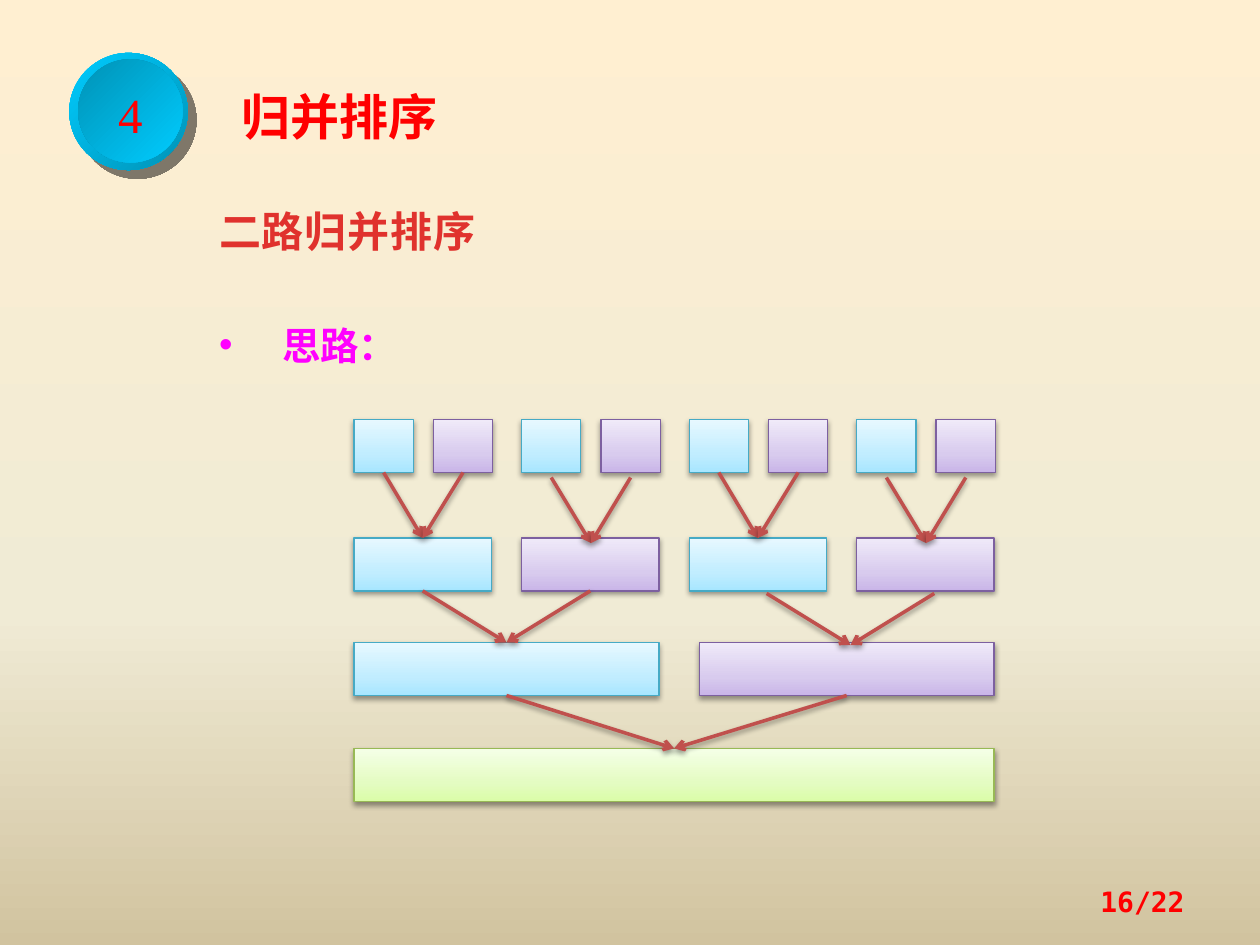
from lxml import etree
from pptx import Presentation
from pptx.dml.color import RGBColor
from pptx.enum.shapes import MSO_CONNECTOR, MSO_SHAPE
from pptx.enum.text import MSO_ANCHOR as Anchor, MSO_AUTO_SIZE as AutoSize, PP_ALIGN as Align
from pptx.oxml.ns import qn
from pptx.util import Inches, Pt

COLORS = {"red": "FF0000", "heading": "E0322D", "magenta": "FF00FF", "arrow": "C0504D"}
GRADIENTS = {
    "background": [(0, "FFEFD1"), (65, "F0EBD5"), (100, "D1C39F")],
    "rim": [(0, "00CCFF"), (100, "0092B6")],
    "face": [(0, "0092B6"), (100, "00CCFF")],
    "blue": [(0, "A7E6FF"), (35, "C1EDFF"), (100, "E7F8FF")],
    "purple": [(0, "C9B5E8"), (35, "D8CBEE"), (100, "F0EAF9")],
    "green": [(0, "DAFDA7"), (35, "E4FCC2"), (100, "F5FFE7")],
}
BORDERS = {"blue": "46AAC5", "purple": "7D60A0", "green": "98B955"}
BADGE_SHADOW = ("020202", 50, 0, 7.1, 45)
SOFT_SHADOW = ("000000", 38, 3.1, 1.6, 90)
CJK, SERIF, MONO = "Noto Sans CJK SC", "Times New Roman", "DejaVu Sans Mono"

LEFT, PITCH, HALF_PITCH, BLOCK_HEIGHT = 2.81, 1.33, 0.63, 0.42
LEVELS = [
    (3.33, [(LEFT + PITCH * pair + HALF_PITCH * half, 0.47) for pair in range(4) for half in range(2)]),
    (4.27, [(LEFT + PITCH * pair, 1.09) for pair in range(4)]),
    (5.10, [(LEFT, 2.42), (5.55, 2.34)]),
    (5.94, [(LEFT, 5.08)]),
]
ARROW_SHIFTS = {(1, 1): (0, 0.04), (1, 3): (0, 0.04), (2, 1): (0.07, 0.02)}


def set_gradient(fill, element, name, angle):
    fill.gradient()
    fill.gradient_angle = angle
    stops = element.find(".//" + qn("a:gsLst"))
    for old in list(stops):
        stops.remove(old)
    for position, color in GRADIENTS[name]:
        stop = etree.SubElement(stops, qn("a:gs"), pos=str(position * 1000))
        etree.SubElement(stop, qn("a:srgbClr"), val=color)


def add_shadow(shape, color, opacity, blur, distance, angle):
    properties = shape.element.spPr
    for old in properties.findall(qn("a:effectLst")):
        properties.remove(old)
    effects = etree.SubElement(properties, qn("a:effectLst"))
    outer = etree.SubElement(
        effects, qn("a:outerShdw"), blurRad=str(Pt(blur)), dist=str(Pt(distance)),
        dir=str(angle * 60000), algn="ctr", rotWithShape="0")
    tint = etree.SubElement(outer, qn("a:srgbClr"), val=color)
    etree.SubElement(tint, qn("a:alpha"), val=str(opacity * 1000))


def add_shape(kind, area, gradient, angle, border=None):
    shape = slide.shapes.add_shape(kind, *map(Inches, area))
    shape.shadow.inherit = False
    set_gradient(shape.fill, shape.element.spPr, gradient, angle)
    if border:
        shape.line.color.rgb = RGBColor.from_string(border)
        shape.line.width = Pt(0.75)
    else:
        shape.line.fill.background()
    return shape


def write(box, text, size, font, color, bold=False, align=Align.LEFT, spacing=1.0,
          margin=0, indent=0, bullet=None, tracking=None):
    para = box.text_frame.paragraphs[0]
    para.text = text
    para.alignment = align
    para.line_spacing = spacing
    settings = para._p.get_or_add_pPr()
    settings.set("marL", str(Inches(margin)))
    settings.set("indent", str(Inches(indent)))
    if bullet:
        etree.SubElement(settings, qn("a:buFont"), typeface="Arial")
        etree.SubElement(settings, qn("a:buChar"), char=bullet)
    span = para.runs[0]
    span.font.size = Pt(size)
    span.font.name = font
    span.font.bold = bold
    span.font.color.rgb = RGBColor.from_string(COLORS[color])
    run_settings = span.font._element
    etree.SubElement(run_settings, qn("a:ea"), typeface=font)
    if tracking:
        run_settings.set("spc", str(int(tracking * 100)))


def add_text(area, text, size, font, color, grow=True, anchor=Anchor.TOP, **style):
    box = slide.shapes.add_textbox(*map(Inches, area))
    frame = box.text_frame
    frame.word_wrap = True
    frame.auto_size = AutoSize.SHAPE_TO_FIT_TEXT if grow else AutoSize.NONE
    frame.vertical_anchor = anchor
    write(box, text, size, font, color, **style)


def add_arrow(start, tip, source=None, target=None):
    arrow = slide.shapes.add_connector(MSO_CONNECTOR.STRAIGHT, *map(Inches, start + tip))
    if source is not None:
        arrow.begin_connect(source, 2)
        arrow.end_connect(target, 0)
    arrow.line.color.rgb = RGBColor.from_string(COLORS["arrow"])
    arrow.line.width = Pt(2)
    etree.SubElement(arrow.line._get_or_add_ln(), qn("a:tailEnd"), type="arrow")
    add_shadow(arrow, *SOFT_SHADOW)


def add_merge_tree():
    previous, previous_top = [], 0
    for level, (top, spans) in enumerate(LEVELS):
        current = []
        for index, (left, width) in enumerate(spans):
            color = "green" if len(spans) == 1 else ("blue", "purple")[index % 2]
            block = add_shape(MSO_SHAPE.RECTANGLE, (left, top, width, BLOCK_HEIGHT),
                              color, 90, BORDERS[color])
            add_shadow(block, *SOFT_SHADOW)
            current.append((block, left + width / 2))
            pair = previous[2 * index:2 * index + 2]
            shift = ARROW_SHIFTS.get((level, index))
            across, down = shift or (0, 0)
            tip = (sum(center for _, center in pair) / 2 + across, top + down)
            for source, center in pair:
                start = (center + across, previous_top + BLOCK_HEIGHT + down)
                ends = () if shift else (source, block)
                add_arrow(start, tip, *ends)
        previous, previous_top = current, top


deck = Presentation()
deck.slide_width, deck.slide_height = Inches(10), Inches(7.5)
slide = deck.slides.add_slide(deck.slide_layouts[6])
set_gradient(slide.background.fill, slide.element, "background", 270)

rim = add_shape(MSO_SHAPE.OVAL, (0.55, 0.42, 0.94, 0.93), "rim", 315)
add_shadow(rim, *BADGE_SHADOW)
face = add_shape(MSO_SHAPE.OVAL, (0.62, 0.47, 0.83, 0.82), "face", 315)
face.text_frame.word_wrap = False
face.text_frame.vertical_anchor = Anchor.MIDDLE
write(face, "4", 28, SERIF, "red", align=Align.CENTER, spacing=1.1)

add_text((1.64, 0.59, 2.89, 0.58), "归并排序", 28, CJK, "red", bold=True, spacing=1.1, margin=0.18)
add_text((1.64, 1.38, 2.42, 0.64), "二路归并排序", 24, CJK, "heading", bold=True, spacing=1.5,
         margin=0.5, indent=-0.5, tracking=0.5)
add_text((1.64, 2.32, 1.88, 0.57), "思路：", 22, CJK, "magenta", bold=True, spacing=1.5,
         margin=0.5, indent=-0.5, bullet="•")
add_merge_tree()
add_text((7.17, 6.95, 2.33, 0.4), "16/22", 16, MONO, "red", grow=False, anchor=Anchor.MIDDLE,
         bold=True, align=Align.RIGHT)

deck.save("out.pptx")
